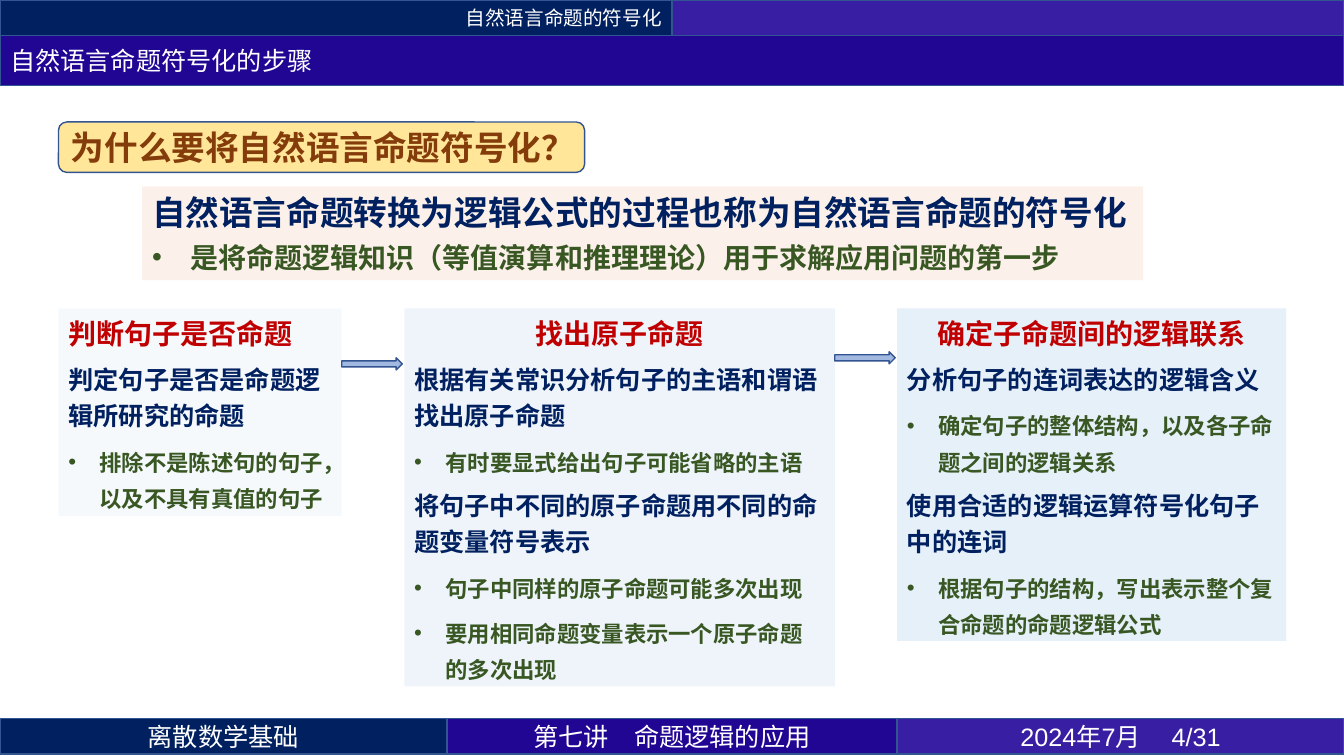
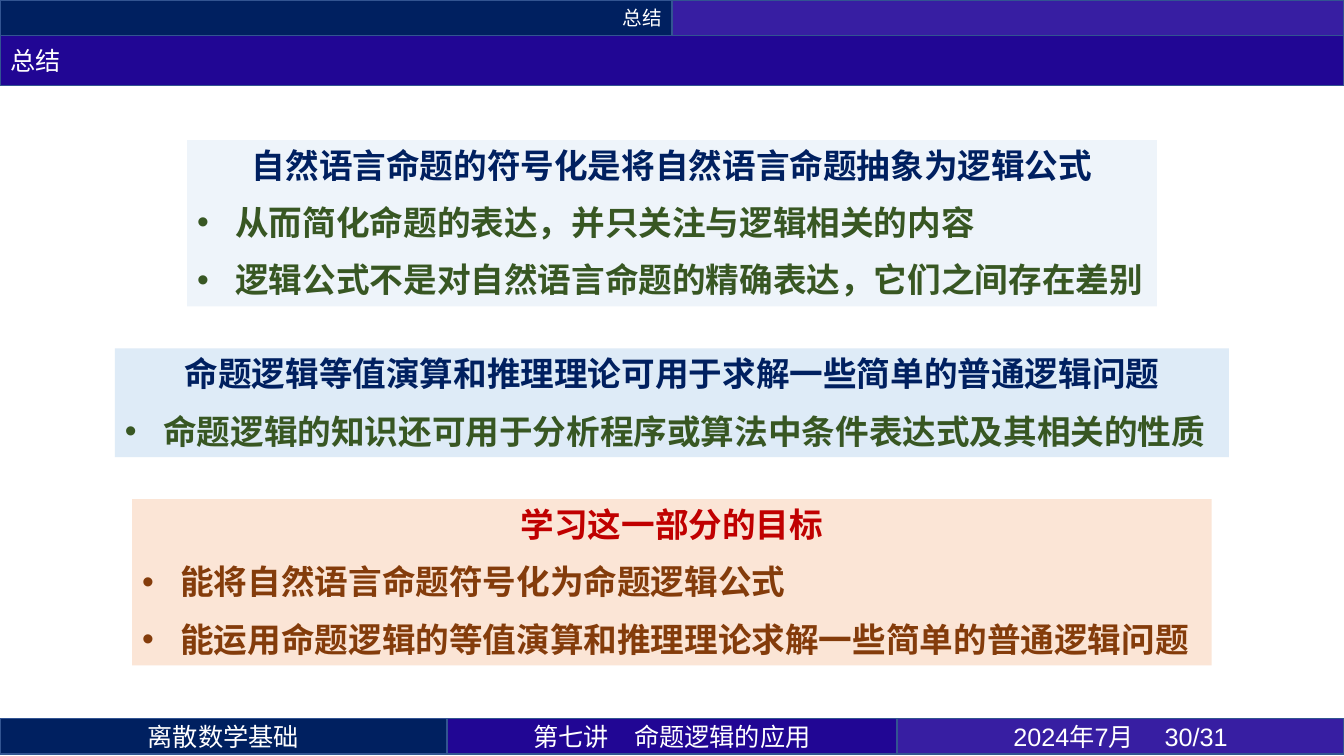
from dataclasses import dataclass

import pptx
import pptx.dml.color
import pptx.enum.shapes
import pptx.enum.text
import pptx.oxml
import pptx.oxml.ns
import pptx.util

ALIGN = pptx.enum.text.PP_ALIGN
ANCHOR = pptx.enum.text.MSO_ANCHOR
FIT = pptx.enum.text.MSO_AUTO_SIZE
SHAPE = pptx.enum.shapes.MSO_SHAPE


@dataclass(frozen=True)
class Theme:
    navy: str = "002060"
    indigo: str = "210694"
    violet: str = "371EA2"
    outline: str = "325491"
    white: str = "FFFFFF"
    yellow: str = "FFE699"
    brown: str = "843C0B"
    green: str = "385723"
    red: str = "C00000"
    sky: str = "DEEBF7"
    peach: str = "FBE5D6"
    arrow: str = "4472C4"
    font: str = "Noto Sans CJK SC"
    latin: str = "Arial"
    header: int = 14
    bar: int = 18
    headline: int = 24
    heading: int = 20
    body: int = 18
    detail: int = 16


THEME = Theme()
WIDTH, HEIGHT = pptx.util.Inches(13.33), pptx.util.Inches(7.5)


@dataclass(frozen=True)
class Box:
    """A region in percent of the slide's width and height."""
    left: float
    top: float
    width: float
    height: float

    @property
    def right(self):
        return self.left + self.width

    def place(self):
        return (int(WIDTH * self.left / 100), int(HEIGHT * self.top / 100),
                int(WIDTH * self.width / 100), int(HEIGHT * self.height / 100))


HEADER = Box(0, 0, 100, 4.67)
TITLE = Box(0, 4.67, 100, 6.67)
FOOTER = Box(0, 95.07, 100, 4.67)
FOOTER_STOPS = (0, 33.25, 66.75, 100)


def xml(markup):
    return pptx.oxml.parse_xml(markup.replace(
        "/>", " " + pptx.oxml.ns.nsdecls("a") + "/>", 1))


def paint(shape, fill, line=None, opacity=100):
    """Fill and outline a shape."""
    shape.fill.solid()
    shape.fill.fore_color.rgb = pptx.dml.color.RGBColor.from_string(fill)
    if opacity < 100:
        color = next(shape.fill._xPr.iter(pptx.oxml.ns.qn("a:srgbClr")))
        color.append(xml(f'<a:alpha val="{opacity * 1000}"/>'))
    if line:
        shape.line.color.rgb = pptx.dml.color.RGBColor.from_string(line)
        shape.line.width = pptx.util.Pt(1)
    else:
        shape.line.fill.background()


def add_shape(slide, box, fill, kind=SHAPE.RECTANGLE, line=None, opacity=100):
    shape = slide.shapes.add_shape(kind, *box.place())
    shape.shadow.inherit = False
    paint(shape, fill, line, opacity)
    return shape


def write(frame, text, *, size, color, bold=False, align=ALIGN.LEFT,
          latin=THEME.font, indent=0, before=0, after=0, spacing=None):
    """Add one paragraph; an indent also gives it a bullet."""
    first = frame.paragraphs[0]
    paragraph = frame.add_paragraph() if first.runs else first
    paragraph.alignment = align
    paragraph.space_before = pptx.util.Pt(before if first.runs else 0)
    paragraph.space_after = pptx.util.Pt(after)
    if spacing:
        paragraph.line_spacing = pptx.util.Pt(spacing)
    if indent:
        properties = paragraph._p.get_or_add_pPr()
        margin = pptx.util.Inches(indent)
        properties.set("marL", str(margin))
        properties.set("indent", str(-margin))
        properties.append(xml(f'<a:buFont typeface="{THEME.latin}"/>'))
        properties.append(xml('<a:buChar char="•"/>'))
    run = paragraph.add_run()
    run.text = text
    run.font.size = pptx.util.Pt(size)
    run.font.bold = bold
    run.font.color.rgb = pptx.dml.color.RGBColor.from_string(color)
    run.font.name = latin
    run._r.get_or_add_rPr().append(xml(f'<a:ea typeface="{THEME.font}"/>'))


def set_frame(shape, anchor=ANCHOR.MIDDLE, fit=FIT.NONE):
    frame = shape.text_frame
    frame.word_wrap = True
    frame.auto_size = fit
    frame.vertical_anchor = anchor
    frame.margin_left = frame.margin_right = pptx.util.Inches(0.1)
    frame.margin_top = frame.margin_bottom = pptx.util.Inches(0.05)
    return frame


def add_bar(slide, box, fill, text="", **style):
    """One cell of the header or footer."""
    shape = add_shape(slide, box, fill, line=THEME.outline)
    if text:
        write(set_frame(shape), text, color=THEME.white, **style)


def add_panel(slide, box, fill, paragraphs, opacity=100):
    """A tinted panel; each paragraph is a (text, style) pair."""
    shape = add_shape(slide, box, fill, opacity=opacity)
    frame = set_frame(shape, ANCHOR.TOP, FIT.SHAPE_TO_FIT_TEXT)
    for text, style in paragraphs:
        write(frame, text, **{"bold": True, **style})


def add_frame_slide(presentation, section, title, page):
    """A slide with its header, title band and footer."""
    slide = presentation.slides.add_slide(presentation.slide_layouts[5])
    # Header
    half = HEADER.width / 2
    add_bar(slide, Box(HEADER.left, HEADER.top, half, HEADER.height), THEME.navy,
            section, size=THEME.header, align=ALIGN.RIGHT)
    add_bar(slide, Box(half, HEADER.top, half, HEADER.height), THEME.violet)
    # Footer
    cells = ((THEME.navy, "离散数学基础", THEME.font),
             (THEME.indigo, "第七讲\t命题逻辑的应用", THEME.font),
             (THEME.violet, f"2024年7月 \t{page}/31", THEME.latin))
    for start, stop, (fill, text, latin) in zip(FOOTER_STOPS, FOOTER_STOPS[1:], cells):
        add_bar(slide, Box(start, FOOTER.top, stop - start, FOOTER.height), fill,
                text, size=THEME.bar, align=ALIGN.CENTER, latin=latin)
    # Title band
    band = slide.shapes.title
    band.left, band.top, band.width, band.height = TITLE.place()
    paint(band, THEME.indigo, THEME.outline)
    write(set_frame(band), title, size=THEME.bar, color=THEME.white)
    return slide


def add_question(slide, box, text):
    shape = add_shape(slide, box, THEME.yellow, SHAPE.ROUNDED_RECTANGLE, THEME.outline)
    write(set_frame(shape), text, size=THEME.headline, color=THEME.brown, bold=True)


def add_arrow(slide, source, drop):
    """An arrow leaving the right side of a step, a drop below its top."""
    add_shape(slide, Box(source.right, source.top + drop, 4.5, 1.6), THEME.arrow,
              SHAPE.RIGHT_ARROW, THEME.outline, 50)


def add_steps_slide(presentation):
    slide = add_frame_slide(presentation, "自然语言命题的符号化",
                            "自然语言命题符号化的步骤", 4)
    add_question(slide, Box(4.35, 16.13, 39.15, 6.67), "为什么要将自然语言命题符号化？")
    # Definition
    add_panel(slide, Box(10.58, 24.67, 74.48, 12.4), THEME.peach, [
        ("自然语言命题转换为逻辑公式的过程也称为自然语言命题的符号化",
         dict(size=THEME.headline, color=THEME.navy)),
        ("是将命题逻辑知识（等值演算和推理理论）用于求解应用问题的第一步",
         dict(size=THEME.heading, color=THEME.green, latin=THEME.latin,
              indent=0.38, before=6)),
    ], 50)
    # Three steps joined by arrows
    rhythm = dict(before=6, spacing=26)
    left = dict(size=THEME.heading, color=THEME.red, **rhythm)
    center = dict(left, align=ALIGN.CENTER)
    point = dict(size=THEME.body, color=THEME.navy, **rhythm)
    detail = dict(size=THEME.detail, color=THEME.green, indent=0.31, **rhythm)
    top = 40.8
    steps = [
        (Box(4.35, top, 21.08, 27.47), 25, 6.53, [
            ("判断句子是否命题", left),
            ("判定句子是否是命题逻辑所研究的命题", point),
            ("排除不是陈述句的句子，以及不具有真值的句子", detail)]),
        (Box(30.08, top, 32.03, 50), 50, 5.73, [
            ("找出原子命题", center),
            ("根据有关常识分析句子的主语和谓语找出原子命题", point),
            ("有时要显式给出句子可能省略的主语", detail),
            ("将句子中不同的原子命题用不同的命题变量符号表示", point),
            ("句子中同样的原子命题可能多次出现", detail),
            ("要用相同命题变量表示一个原子命题的多次出现", detail)]),
        (Box(66.75, top, 28.95, 44), 75, None, [
            ("确定子命题间的逻辑联系", center),
            ("分析句子的连词表达的逻辑含义", point),
            ("确定句子的整体结构，以及各子命题之间的逻辑关系", detail),
            ("使用合适的逻辑运算符号化句子中的连词", point),
            ("根据句子的结构，写出表示整个复合命题的命题逻辑公式", detail)]),
    ]
    for box, opacity, drop, paragraphs in steps:
        add_panel(slide, box, THEME.sky, paragraphs, opacity)
        if drop:
            add_arrow(slide, box, drop)


def add_summary_slide(presentation):
    slide = add_frame_slide(presentation, "总结", "总结", 30)
    panels = [
        (72.15, 22, THEME.sky, 50, THEME.navy, THEME.green, [
            "自然语言命题的符号化是将自然语言命题抽象为逻辑公式",
            "从而简化命题的表达，并只关注与逻辑相关的内容",
            "逻辑公式不是对自然语言命题的精确表达，它们之间存在差别"]),
        (82.88, 14.4, THEME.sky, 100, THEME.navy, THEME.green, [
            "命题逻辑等值演算和推理理论可用于求解一些简单的普通逻辑问题",
            "命题逻辑的知识还可用于分析程序或算法中条件表达式及其相关的性质"]),
        (80.33, 22, THEME.peach, 100, THEME.red, THEME.brown, [
            "学习这一部分的目标",
            "能将自然语言命题符号化为命题逻辑公式",
            "能运用命题逻辑的等值演算和推理理论求解一些简单的普通逻辑问题"]),
    ]
    # Centred panels stacked with equal gaps
    top, gap = 18.53, 5.55
    for width, height, fill, opacity, head_color, point_color, (head, *points) in panels:
        heading = dict(size=THEME.headline, color=head_color, align=ALIGN.CENTER, after=6)
        point = dict(size=THEME.headline, color=point_color, indent=0.38,
                     before=6, after=6)
        paragraphs = [(head, heading)] + [(text, point) for text in points]
        add_panel(slide, Box((100 - width) / 2, top, width, height), fill,
                  paragraphs, opacity)
        top += height + gap


def main():
    presentation = pptx.Presentation()
    presentation.slide_width, presentation.slide_height = WIDTH, HEIGHT
    add_steps_slide(presentation)
    add_summary_slide(presentation)
    presentation.save("out.pptx")


if __name__ == "__main__":
    main()
